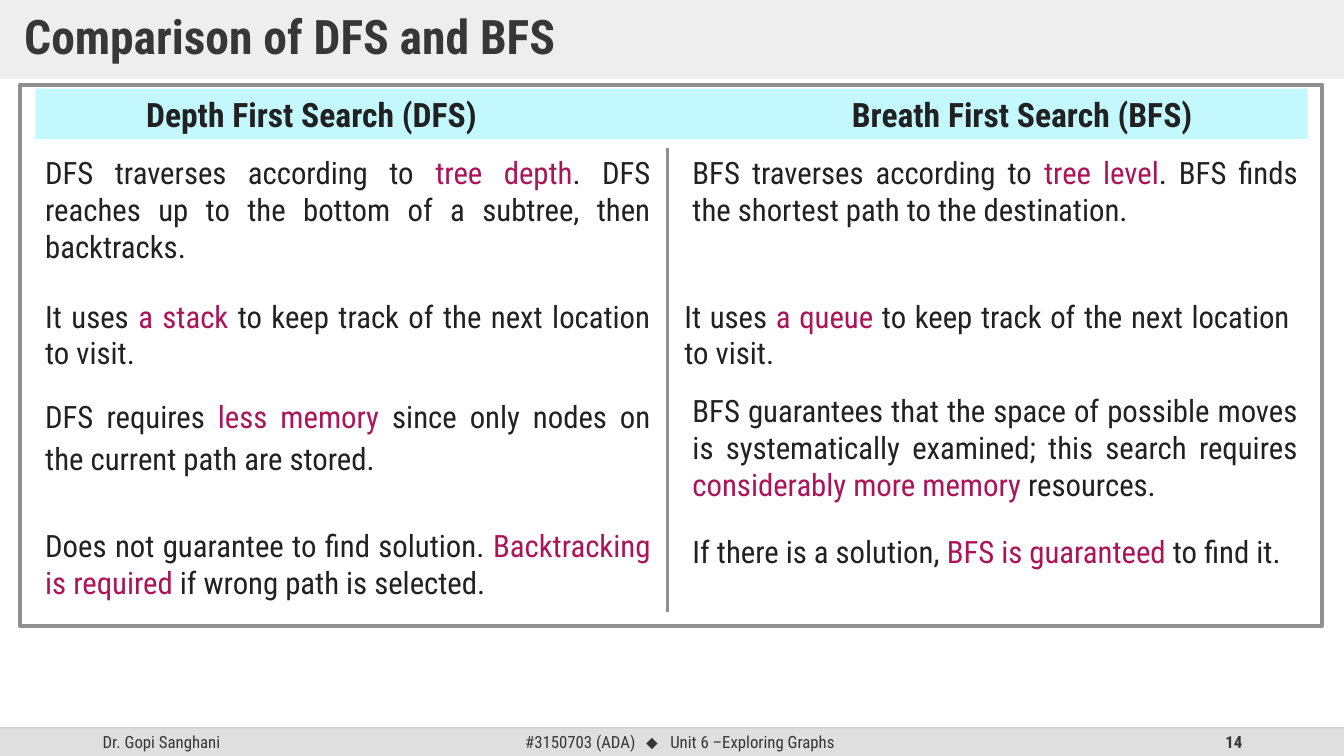
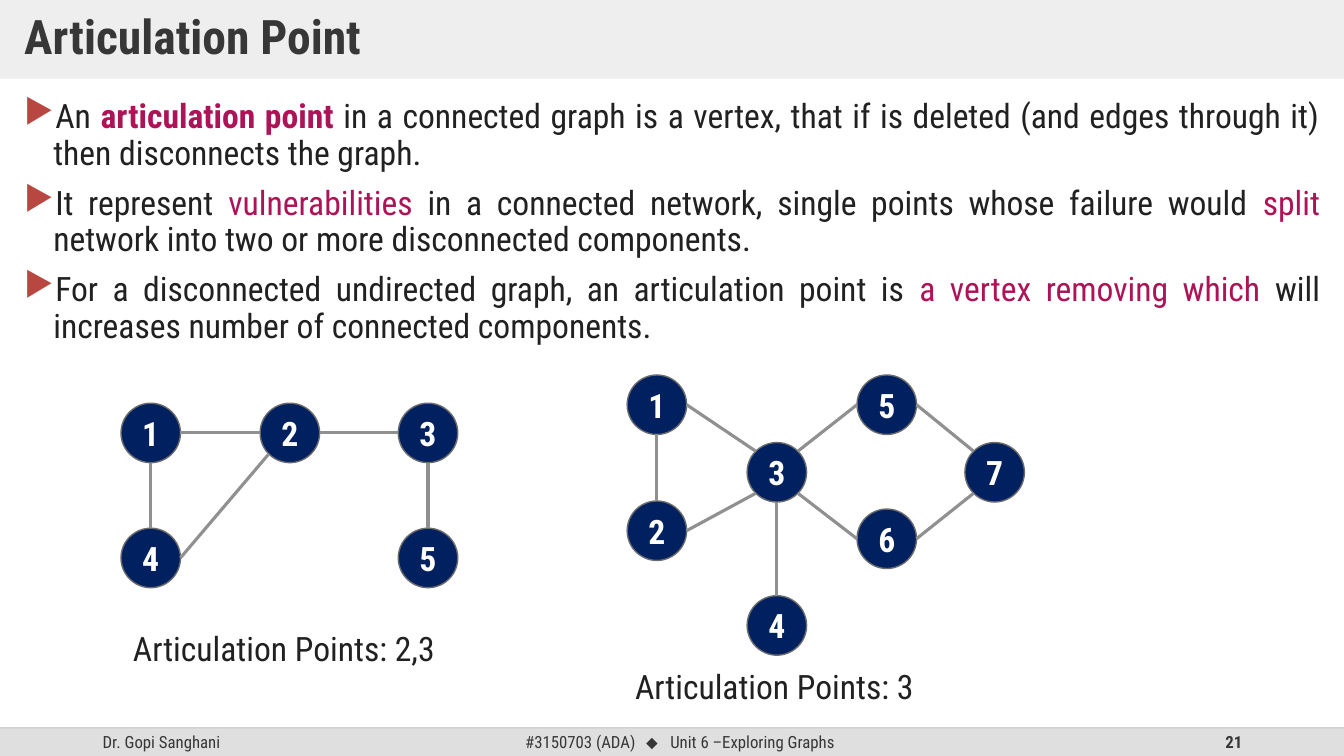
from math import cos, radians, sin

from lxml.etree import SubElement
from pptx import Presentation
from pptx.dml.color import RGBColor
from pptx.enum.shapes import MSO_CONNECTOR, MSO_SHAPE
from pptx.enum.text import MSO_ANCHOR, MSO_AUTO_SIZE, PP_ALIGN
from pptx.oxml.ns import qn
from pptx.util import Inches, Pt

FONT = "Roboto Condensed"
BAND = RGBColor(0xDF, 0xDF, 0xDF)
FOOTER_RULE = RGBColor(0xBF, 0xBF, 0xBF)
HEADING = RGBColor(0x37, 0x37, 0x37)
BODY = RGBColor(0x21, 0x21, 0x21)
ACCENT = RGBColor(0xAD, 0x14, 0x57)
BULLET = RGBColor(0xB8, 0x47, 0x42)
GREY = RGBColor(0x90, 0x90, 0x90)
CYAN = RGBColor(0xC3, 0xF8, 0xFF)
NAVY = RGBColor(0x00, 0x20, 0x60)
NODE_EDGE = RGBColor(0x6B, 0x6B, 0x6B)
WHITE = RGBColor(0xFF, 0xFF, 0xFF)

SLIDE_W, SLIDE_H = 13.33, 7.5
FOOTER_TOP, FOOTER_H = 7.22, 0.28
COLUMN_W = 6.2
NODE_SIZE = 0.59

# Text between bars is marked: it takes the "marked" format of write().
COMPARISON_HEADER = "\tDepth First Search (DFS)\tBreath First Search (BFS)"
LEFT_X, RIGHT_X = 0.35, 6.77
COMPARISON = [  # left, top, height, line spacing, text
    (LEFT_X, 1.48, 1.21, 1, "DFS traverses according to |tree depth|. DFS reaches up to "
     "the bottom of a subtree, then backtracks."),
    (RIGHT_X, 1.48, 0.84, 1, "BFS traverses according to |tree level|. BFS finds the "
     "shortest path to the destination."),
    (LEFT_X, 2.9, 0.84, 1, "It uses |a stack| to keep track of the next location to visit."),
    (6.69, 2.9, 0.84, 1, "It uses |a queue |to keep track of the next location to visit."),
    (LEFT_X, 3.84, 0.95, 1.15, "DFS requires |less memory |since only nodes on the current "
     "path are stored."),
    (RIGHT_X, 3.84, 1.21, 1, "BFS guarantees that the space of possible moves is "
     "systematically examined; this search requires |considerably more memory |resources."),
    (LEFT_X, 5.18, 0.84, 1, "Does not guarantee to find solution. |Backtracking is required "
     "|if wrong path is selected."),
    (RIGHT_X, 5.18, 0.53, 1.15, "If there is a solution, |BFS is guaranteed |to find it."),
]

DEFINITION = ("An |articulation point |in a connected graph is a vertex, that if is deleted "
              "(and edges through it) then disconnects the graph.")
CONSEQUENCES = [
    "It represent |vulnerabilities| in a connected network, single points whose failure "
    "would |split |network into two or more disconnected components.",
    "For a disconnected undirected graph, an articulation point is |a vertex removing which "
    "|will increases number of connected components.",
]

# Nodes give left and top; edges give node and side at each end.
TOP, LEFT, LOWER_LEFT, BOTTOM, LOWER_RIGHT, RIGHT, UPPER_RIGHT = 0, 2, 3, 4, 5, 6, 7
UPPER_LEFT = 1
GRAPHS = [
    {
        "nodes": {1: (1.2, 4), 2: (2.58, 4), 3: (3.95, 4), 4: (1.2, 5.24), 5: (3.95, 5.24)},
        "edges": [(1, RIGHT, 2, LEFT), (2, RIGHT, 3, LEFT), (1, BOTTOM, 4, TOP),
                  (4, RIGHT, 2, LOWER_LEFT), (3, BOTTOM, 5, TOP)],
        "caption": ("Articulation Points: 2,3", 1.22, 6.18),
    },
    {
        "nodes": {1: (6.22, 3.72), 2: (6.22, 4.97), 3: (7.41, 4.39), 4: (7.41, 5.91),
                  5: (8.5, 3.72), 6: (8.5, 5.05), 7: (9.57, 4.39)},
        "edges": [(1, RIGHT, 3, UPPER_LEFT), (1, BOTTOM, 2, TOP), (2, RIGHT, 3, LOWER_LEFT),
                  (3, UPPER_RIGHT, 5, LEFT), (3, LOWER_RIGHT, 6, LEFT), (3, BOTTOM, 4, TOP),
                  (5, RIGHT, 7, UPPER_LEFT), (6, RIGHT, 7, LOWER_LEFT)],
        "caption": ("Articulation Points: 3", 6.2, 6.56),
    },
]


def write(frame, text, size=24, color=BODY, bold=False, align=PP_ALIGN.LEFT, spacing=1,
          anchor=MSO_ANCHOR.TOP, marked=None, tabs=(), bullet=None, add=False):
    """Write one paragraph; with add, put it after those already there."""
    frame.word_wrap = True
    frame.vertical_anchor = anchor
    paragraph = frame.add_paragraph() if add else frame.paragraphs[0]
    paragraph.alignment = align
    paragraph.line_spacing = spacing
    plain = {"font": FONT, "color": color, "bold": bold}
    for index, piece in enumerate(text.split("|")):
        look = {**plain, **(marked or {"color": ACCENT})} if index % 2 else plain
        run = paragraph.add_run()
        run.text = piece
        run.font.name = look["font"]
        run.font.size = Pt(size)
        run.font.bold = look["bold"]
        run.font.color.rgb = look["color"]
    properties = paragraph._p.get_or_add_pPr()
    if bullet:
        paragraph.space_before = Pt(10)
        properties.set("marL", str(Inches(0.29)))
        properties.set("indent", str(-Inches(0.29)))
        bullet_color = SubElement(properties, qn("a:buClr"))
        SubElement(bullet_color, qn("a:srgbClr"), val=str(BULLET))
        SubElement(properties, qn("a:buChar"), char=bullet)
    if tabs:
        stops = SubElement(properties, qn("a:tabLst"))
        for position in tabs:
            SubElement(stops, qn("a:tab"), pos=str(Inches(position)), algn="l")


def add_label(slide, box, text, **text_format):
    frame = slide.shapes.add_textbox(*map(Inches, box)).text_frame
    write(frame, text, **text_format)
    return frame


def add_panel(slide, kind, box, fill=None, line=None, width=1):
    panel = slide.shapes.add_shape(kind, *map(Inches, box))
    panel.shadow.inherit = False
    if fill is None:
        panel.fill.background()
    else:
        panel.fill.solid()
        panel.fill.fore_color.rgb = fill
    if line is None:
        panel.line.fill.background()
    else:
        panel.line.color.rgb = line
        panel.line.width = Pt(width)
    return panel


def add_line(slide, start, end, color=GREY, width=2.25):
    line = slide.shapes.add_connector(MSO_CONNECTOR.STRAIGHT, *map(Inches, (*start, *end)))
    line.line.color.rgb = color
    line.line.width = Pt(width)
    SubElement(line.element.spPr, qn("a:effectLst"))
    return line


def set_opacity(shape, percent):
    for color in shape.element.spPr.iter(qn("a:srgbClr")):
        SubElement(color, qn("a:alpha"), val=str(percent * 1000))


def add_titled_slide(deck, title_text, number):
    """Add a slide with the title band and footer that all slides share."""
    slide = deck.slides.add_slide(deck.slide_layouts[5])
    title = slide.shapes.title
    title.left, title.top, title.width, title.height = map(Inches, (0, 0, SLIDE_W, 0.78))
    title.fill.solid()
    title.fill.fore_color.rgb = BAND
    set_opacity(title, 50)
    frame = title.text_frame
    frame.auto_size = MSO_AUTO_SIZE.NONE
    frame.margin_left = frame.margin_right = Inches(0.24)
    frame.margin_top = frame.margin_bottom = Inches(0.12)
    write(frame, title_text, size=34, color=HEADING, bold=True, spacing=0.9,
          anchor=MSO_ANCHOR.MIDDLE)

    add_panel(slide, MSO_SHAPE.RECTANGLE, (0, FOOTER_TOP, SLIDE_W, FOOTER_H), BAND)
    footer = {"size": 12, "color": HEADING, "anchor": MSO_ANCHOR.MIDDLE}
    add_label(slide, (0.92, FOOTER_TOP, 3, FOOTER_H), "Dr. Gopi Sanghani", **footer)
    add_label(slide, (5.11, FOOTER_TOP, 4, FOOTER_H),
              "#3150703 (ADA)\t|⬥|\tUnit 6 –Exploring Graphs",
              marked={"font": "Arial"}, tabs=(1.2, 1.44), **footer)
    add_label(slide, (9.42, FOOTER_TOP, 3, FOOTER_H), str(number), bold=True,
              align=PP_ALIGN.RIGHT, **footer)
    rule = add_line(slide, (0, FOOTER_TOP), (SLIDE_W, FOOTER_TOP), FOOTER_RULE, 1)
    set_opacity(rule, 70)
    return slide


def side_point(corner, side):
    """Return a connection point of a node; sides run anticlockwise from the top."""
    radius = NODE_SIZE / 2
    angle = radians(90 + 45 * side)
    return (corner[0] + radius * (1 + cos(angle)), corner[1] + radius * (1 - sin(angle)))


def add_graph(slide, nodes, edges, caption):
    circles = {}
    for number, corner in nodes.items():
        circle = add_panel(slide, MSO_SHAPE.OVAL, (*corner, NODE_SIZE, NODE_SIZE),
                           NAVY, NODE_EDGE)
        write(circle.text_frame, str(number), color=WHITE, bold=True,
              align=PP_ALIGN.CENTER, anchor=MSO_ANCHOR.MIDDLE)
        circles[number] = circle
    for start, start_side, end, end_side in edges:
        edge = add_line(slide, side_point(nodes[start], start_side),
                        side_point(nodes[end], end_side))
        # Circles have eight connection sites; begin_connect knows only four.
        joints = edge.element.find(".//" + qn("p:cNvCxnSpPr"))
        for tag, node, side in (("a:stCxn", start, start_side), ("a:endCxn", end, end_side)):
            SubElement(joints, qn(tag), id=str(circles[node].shape_id), idx=str(side))
    text, left, top = caption
    add_label(slide, (left, top, 3.31, 0.5), text)


def add_comparison(deck):
    slide = add_titled_slide(deck, "Comparison of DFS and BFS", 14)
    add_panel(slide, MSO_SHAPE.RECTANGLE, (0.2, 0.84, 12.91, 5.37), line=GREY, width=3)
    header = add_panel(slide, MSO_SHAPE.RECTANGLE, (LEFT_X, 0.88, 12.62, 0.5), CYAN)
    write(header.text_frame, COMPARISON_HEADER, bold=True, tabs=(1, 8))
    for left, top, height, spacing, text in COMPARISON:
        frame = add_label(slide, (left, top, COLUMN_W, height), text, size=22,
                          align=PP_ALIGN.JUSTIFY, spacing=spacing)
        frame.auto_size = MSO_AUTO_SIZE.SHAPE_TO_FIT_TEXT
    add_line(slide, (6.62, 1.47), (6.62, 6.07))


def add_articulation(deck):
    slide = add_titled_slide(deck, "Articulation Point", 21)
    bullets = {"align": PP_ALIGN.JUSTIFY, "spacing": 0.9, "bullet": "▶"}
    frame = add_label(slide, (0.14, 0.94, 13.05, 2.6), DEFINITION,
                      marked={"color": ACCENT, "bold": True}, **bullets)
    for text in CONSEQUENCES:
        write(frame, text, add=True, **bullets)
    for graph in GRAPHS:
        add_graph(slide, **graph)


def main():
    deck = Presentation()
    deck.slide_width, deck.slide_height = Inches(SLIDE_W), Inches(SLIDE_H)
    add_comparison(deck)
    add_articulation(deck)
    deck.save("out.pptx")


if __name__ == "__main__":
    main()
